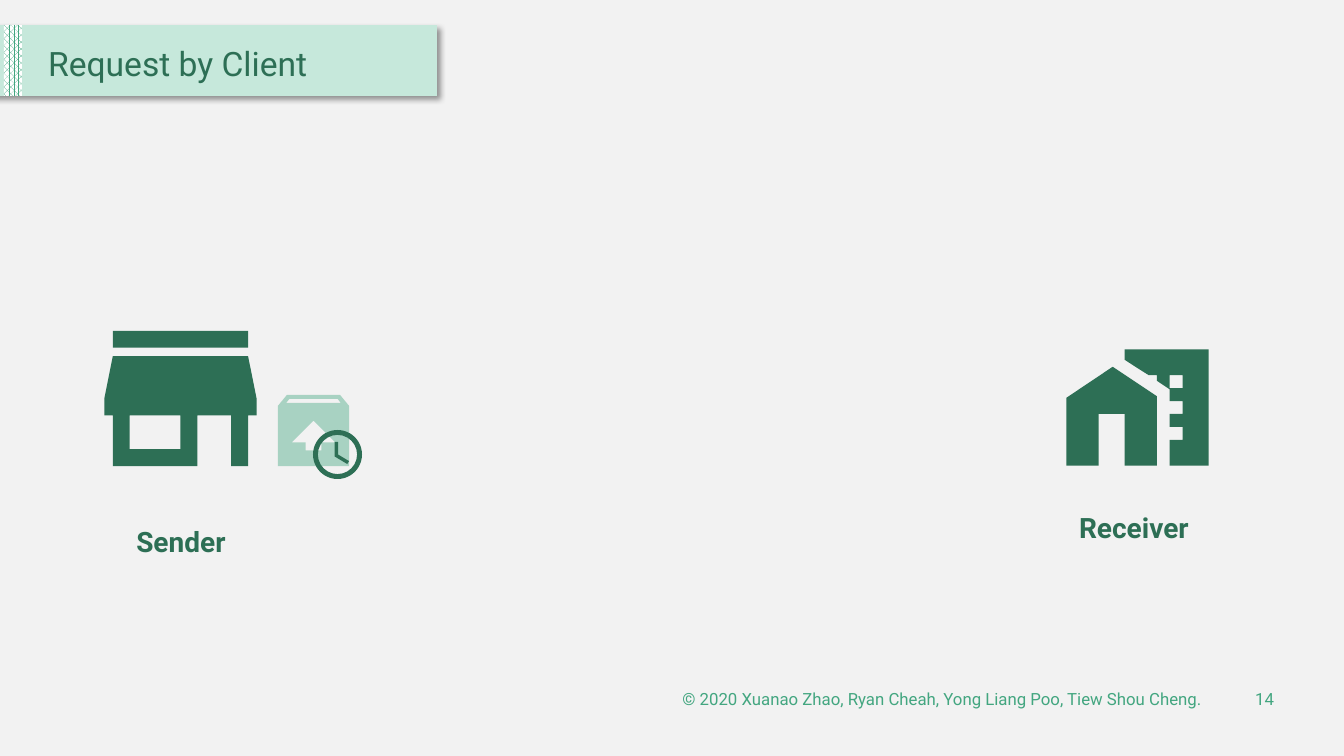
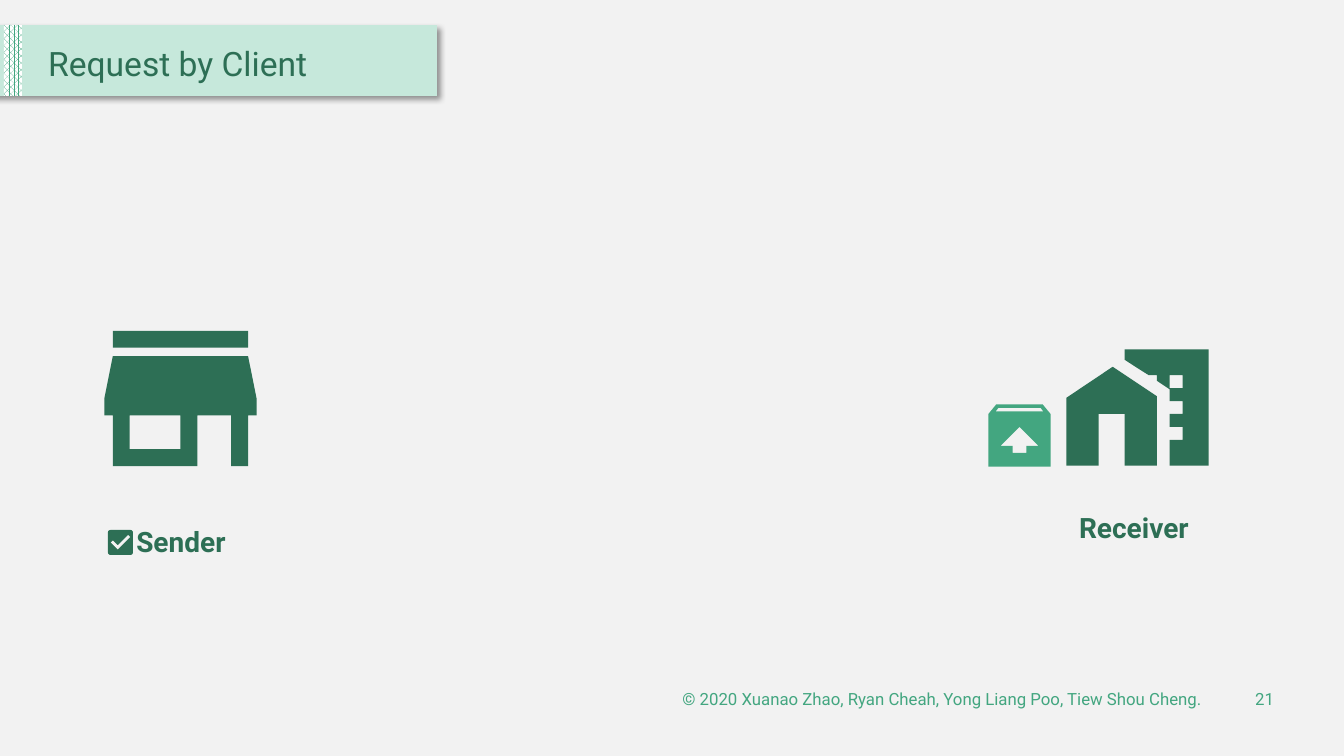
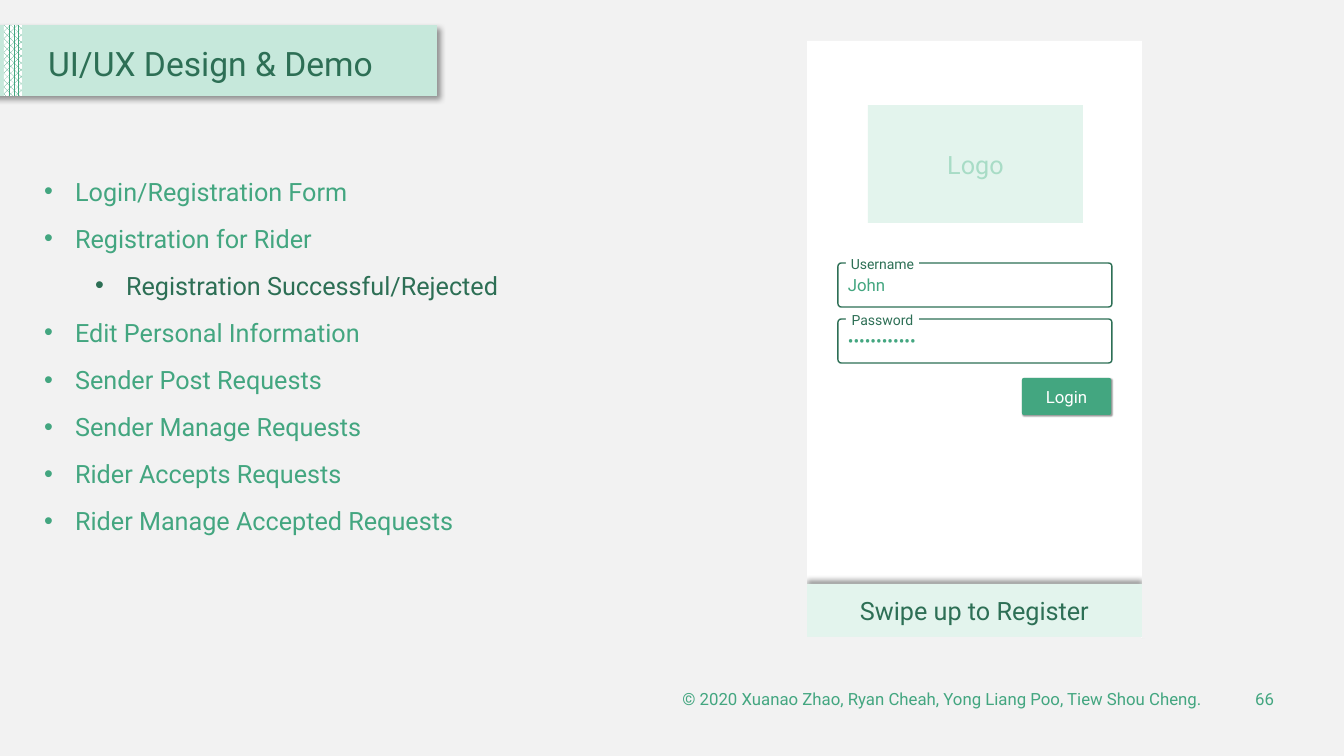
import pptx
import pptx.dml.color
import pptx.enum.dml
import pptx.enum.shapes
import pptx.enum.text
import pptx.oxml
import pptx.oxml.ns
import pptx.util
from lxml import etree

RGB = pptx.dml.color.RGBColor
SHAPE = pptx.enum.shapes.MSO_SHAPE
ALIGN = pptx.enum.text.PP_ALIGN
ANCHOR = pptx.enum.text.MSO_ANCHOR
qn = pptx.oxml.ns.qn

# Style
PAPER = RGB(0xF2, 0xF2, 0xF2)
WHITE = RGB(0xFF, 0xFF, 0xFF)
DARK = RGB(0x2D, 0x6F, 0x55)
GREEN = RGB(0x43, 0xA6, 0x80)
BAND = RGB(0xC6, 0xE8, 0xDB)
PALE = RGB(0xE3, 0xF4, 0xED)
FAINT = RGB(0xA8, 0xDC, 0xC6)
FONT = "Roboto"
PX_PER_INCH = 100.8
GRID = 24  # units across an icon's square
COPYRIGHT = "© 2020 Xuanao Zhao, Ryan Cheah, Yong Liang Poo, Tiew Shou Cheng."

# Icon outlines on the 24-unit grid
STORE = [
    [(20, 4), (4, 4), (4, 6), (20, 6)],
    [(21, 14), (21, 12), (20, 7), (4, 7), (3, 12), (3, 14), (4, 14), (4, 20),
     (14, 20), (14, 14), (18, 14), (18, 20), (20, 20), (20, 14)],
    [(12, 18), (6, 18), (6, 14), (12, 14)],
]
PARCEL = [
    [(18.71, 3), (5.29, 3), (3, 5.79), (3, 21), (21, 21), (21, 5.79)],
    [(14, 15), (14, 17), (10, 17), (10, 15), (6.5, 15), (12, 9.5), (17.5, 15)],
    [(5.12, 5), (5.93, 4), (18.1, 4), (18.87, 5)],
]
HOUSE = [[(8.17, 5.7), (1, 10.5), (1, 21), (6, 21), (6, 13), (10, 13),
          (10, 21), (15, 21), (15, 10.25)]]
TOWER = [
    [(10, 3), (10, 4.6), (12, 5.9), (13.75, 7), (15, 7), (15, 7.85), (17, 9.2),
     (17, 11), (19, 11), (19, 13), (17, 13), (17, 15), (19, 15), (19, 17),
     (17, 17), (17, 21), (23, 21), (23, 3)],
    [(19, 9), (17, 9), (17, 7), (19, 7)],
]
CLOCK_HANDS = [[(12.5, 7), (11, 7), (11, 13), (16.25, 16.15), (17, 14.92), (12.5, 12.25)]]
TICK = [[(10, 17), (5, 12), (6.41, 10.59), (10, 14.17), (17.59, 6.58), (19, 8)]]

FEATURES = [
    (0, "Login/Registration Form"),
    (0, "Registration for Rider"),
    (1, "Registration Successful/Rejected"),
    (0, "Edit Personal Information"),
    (0, "Sender Post Requests"),
    (0, "Sender Manage Requests"),
    (0, "Rider Accepts Requests"),
    (0, "Rider Manage Accepted Requests"),
]


def px(length):
    return pptx.util.Emu(round(length * 914400 / PX_PER_INCH))


class Deck:
    def __init__(self):
        self.prs = pptx.Presentation()
        self.prs.slide_width, self.prs.slide_height = px(1344), px(756)
        self.slide = None
        background = self.prs.slide_master.background.fill
        background.solid()
        background.fore_color.rgb = PAPER

    def start(self, title, layout=5):
        first = self.slide is None
        self.slide = self.prs.slides.add_slide(self.prs.slide_layouts[layout])
        if first:
            self.master_band()
        heading = self.slide.shapes.title
        self.place(heading, 38, 36, 399, 60)
        self.set_text(heading, title, 24, DARK, ALIGN.LEFT, ANCHOR.MIDDLE)
        heading.text_frame.paragraphs[0].line_spacing = 0.9

    def master_band(self):
        """Draws the title band and moves it to the master, behind all slides."""
        band = self.box(-21, 25, 458, 71, BAND)
        self.shadow(band, 4, 3, 45)
        stripe = self.box(4, 25, 18, 71)
        stripe.fill.patterned()
        stripe.fill.pattern = pptx.enum.dml.MSO_PATTERN.PERCENT_70
        stripe.fill.fore_color.rgb = GREEN
        stripe.fill.back_color.rgb = WHITE
        tree = self.prs.slide_master.shapes._spTree
        for index, part in enumerate((band, stripe)):
            tree.insert(2 + index, part._element)

    def footer(self, number):
        for left, width, text in ((548, 664, COPYRIGHT), (1225, 59, str(number))):
            self.label(left, 679, width, 40, text, 12, GREEN, ALIGN.RIGHT, ANCHOR.MIDDLE)

    def place(self, shape, left, top, width, height):
        shape.left, shape.top = px(left), px(top)
        shape.width, shape.height = px(width), px(height)

    def set_text(self, shape, text, size, color, align=ALIGN.CENTER,
                 anchor=ANCHOR.TOP, bold=False, wrap=True):
        frame = shape.text_frame
        frame.text = text
        frame.word_wrap = wrap
        frame.auto_size = pptx.enum.text.MSO_AUTO_SIZE.NONE
        frame.vertical_anchor = anchor
        frame.paragraphs[0].alignment = align
        self.style(frame.paragraphs[0], size, color, bold)

    def style(self, paragraph, size, color, bold=False):
        for run in paragraph.runs:
            run.font.name, run.font.size = FONT, pptx.util.Pt(size)
            run.font.bold, run.font.color.rgb = bold, color

    def label(self, left, top, width, height, text, size, color,
              align=ALIGN.CENTER, anchor=ANCHOR.TOP, bold=False):
        holder = self.slide.shapes.add_textbox(px(left), px(top), px(width), px(height))
        self.set_text(holder, text, size, color, align, anchor, bold)

    def box(self, left, top, width, height, fill=None, kind=SHAPE.RECTANGLE,
            adjust=None, line=None):
        shape = self.slide.shapes.add_shape(kind, px(left), px(top), px(width), px(height))
        if adjust is not None:
            shape.adjustments[0] = adjust
        self.paint(shape, fill, line)
        return shape

    def paint(self, shape, fill, line=None):
        shape.shadow.inherit = False
        if fill is None:
            shape.fill.background()
        else:
            shape.fill.solid()
            shape.fill.fore_color.rgb = fill
        if line is None:
            shape.line.fill.background()
        else:
            shape.line.color.rgb = line
            shape.line.width = pptx.util.Pt(1)

    def shadow(self, shape, blur, distance, degrees):
        effects = shape._element.spPr.find(qn("a:effectLst"))
        outer = etree.SubElement(effects, qn("a:outerShdw"), {
            "blurRad": str(pptx.util.Pt(blur)), "dist": str(pptx.util.Pt(distance)),
            "dir": str(degrees * 60000), "algn": "ctr", "rotWithShape": "0"})
        black = etree.SubElement(outer, qn("a:srgbClr"), val="000000")
        etree.SubElement(black, qn("a:alpha"), val="40000")

    def icon(self, outlines, left, top, size, color, opacity=None):
        """Draws outlines as one shape; inner outlines become holes."""
        steps = 100  # fine steps per grid unit
        contours = [[(x * steps, y * steps) for x, y in outline] for outline in outlines]
        builder = self.slide.shapes.build_freeform(
            *contours[0][0], scale=px(size) / (GRID * steps))
        for contour in contours:
            if contour is not contours[0]:
                builder.move_to(*contour[0])
            builder.add_line_segments(contour[1:], close=True)
        shape = builder.convert_to_shape(px(left), px(top))
        self.paint(shape, color)
        if opacity is not None:
            tint = shape._element.spPr.find(qn("a:solidFill"))[0]
            etree.SubElement(tint, qn("a:alpha"), val=str(opacity * 1000))

    def bullets(self, items, left, top, width, height):
        body = self.slide.placeholders[1]
        self.place(body, left, top, width, height)
        frame = body.text_frame
        frame.text = "\n".join(text for _, text in items)
        frame.word_wrap = True
        frame.auto_size = pptx.enum.text.MSO_AUTO_SIZE.NONE
        for index, (level, _) in enumerate(items):
            paragraph = frame.paragraphs[index]
            paragraph.level = level
            paragraph.space_before = pptx.util.Pt(12 if index else 0)
            props = paragraph._p.get_or_add_pPr()
            props.set("marL", str(px(31 + 51 * level)))
            props.set("indent", str(-px(31)))
            etree.SubElement(props, qn("a:buFont"), typeface="Arial")
            etree.SubElement(props, qn("a:buChar"), char="•")
            self.style(paragraph, 18, DARK if level else GREEN)

    def parties(self):
        """Sender's shop and receiver's home with their names."""
        self.icon(STORE, 79, 297, 203, DARK)
        self.label(79, 520, 204, 44, "Sender", 20, DARK, bold=True)
        for building in (HOUSE, TOWER):
            self.icon(building, 1060, 330, 155, DARK)
        self.label(1032, 506, 204, 44, "Receiver", 20, DARK, bold=True)

    def field(self, top, name, value):
        """Outlined input field with its name set into the top edge."""
        self.box(838, top, 274, 44, kind=SHAPE.ROUNDED_RECTANGLE, adjust=0.075, line=DARK)
        caption = self.box(846, top - 4, 73, 10, WHITE)
        self.set_text(caption, name, 10, DARK, anchor=ANCHOR.MIDDLE, wrap=False)
        self.label(838, top + 7, 166, 30, value, 12, GREEN, ALIGN.LEFT)


def main():
    deck = Deck()

    # Request waiting at the sender
    deck.start("Request by Client")
    deck.parties()
    deck.icon(PARCEL, 266, 383, 95, GREEN, opacity=42)
    deck.box(313, 430, 49, 49, DARK, SHAPE.DONUT, 0.1)
    deck.icon(CLOCK_HANDS, 308, 425, 58, DARK)
    deck.footer(14)

    # Request delivered to the receiver
    deck.start("Request by Client")
    deck.parties()
    deck.icon(PARCEL, 978, 394, 83, GREEN)
    deck.box(108, 530, 25, 25, DARK, SHAPE.ROUNDED_RECTANGLE, 0.1)
    deck.icon(TICK, 104, 526, 33, PAPER)
    deck.footer(21)

    # Feature list and login screen
    deck.start("UI/UX Design & Demo", layout=1)
    deck.bullets(FEATURES, 34, 171, 503, 373)
    deck.box(807, 41, 335, 597, WHITE)
    logo_area = deck.box(868, 105, 215, 118, PALE)
    deck.set_text(logo_area, "Logo", 18, FAINT, anchor=ANCHOR.MIDDLE)
    deck.field(263, "Username", "John")
    deck.field(319, "Password", "••••••••••••")
    login = deck.box(1022, 378, 89, 37, GREEN, SHAPE.ROUNDED_RECTANGLE, 0.05)
    deck.shadow(login, 1, 1, 45)
    deck.set_text(login, "Login", 12, WHITE, anchor=ANCHOR.MIDDLE)
    register = deck.box(807, 584, 335, 53, PALE)
    deck.shadow(register, 4, 3, 270)
    deck.set_text(register, "Swipe up to Register", 18, DARK, anchor=ANCHOR.MIDDLE)

    # Covers that trim the shadow to the screen's edges
    for left, top, width, height in ((724, 41, 83, 597), (1142, 41, 83, 597),
                                     (798, 637, 343, 119)):
        deck.box(left, top, width, height, PAPER)
    deck.footer(66)

    deck.prs.save("out.pptx")


if __name__ == "__main__":
    main()
